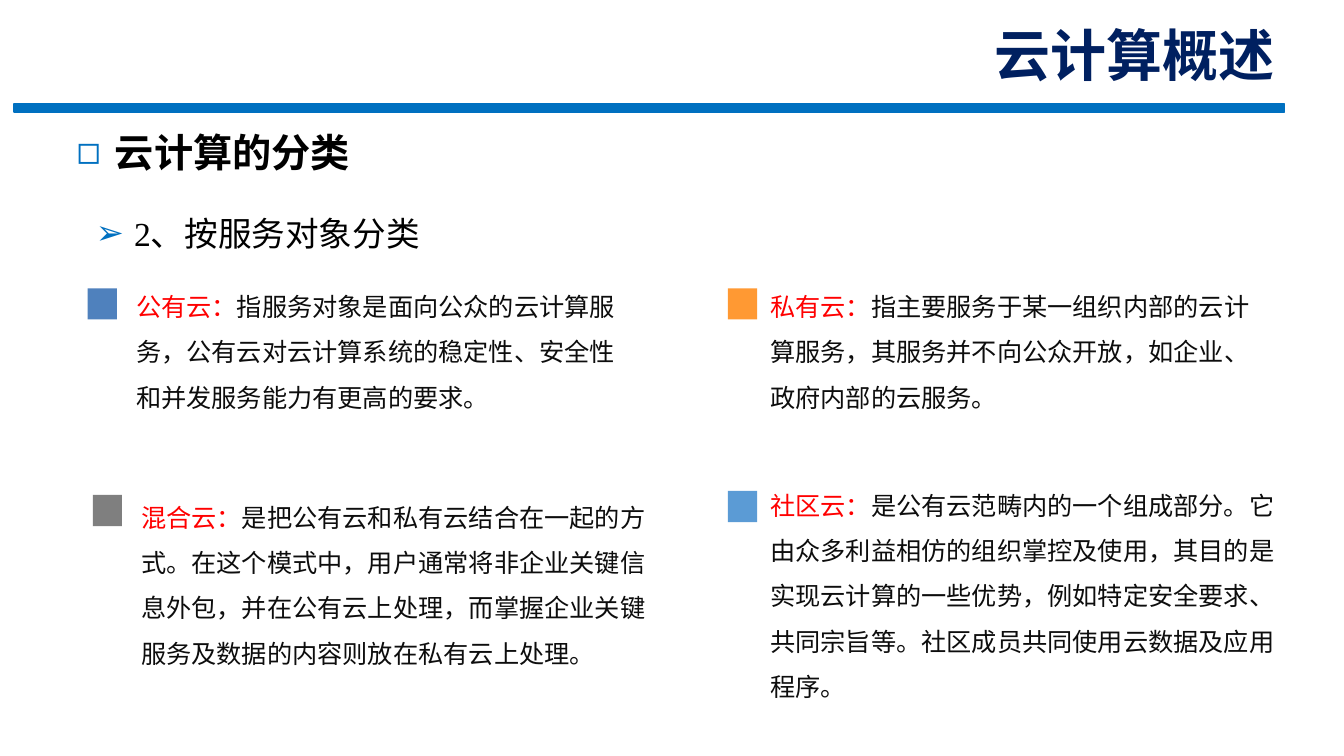
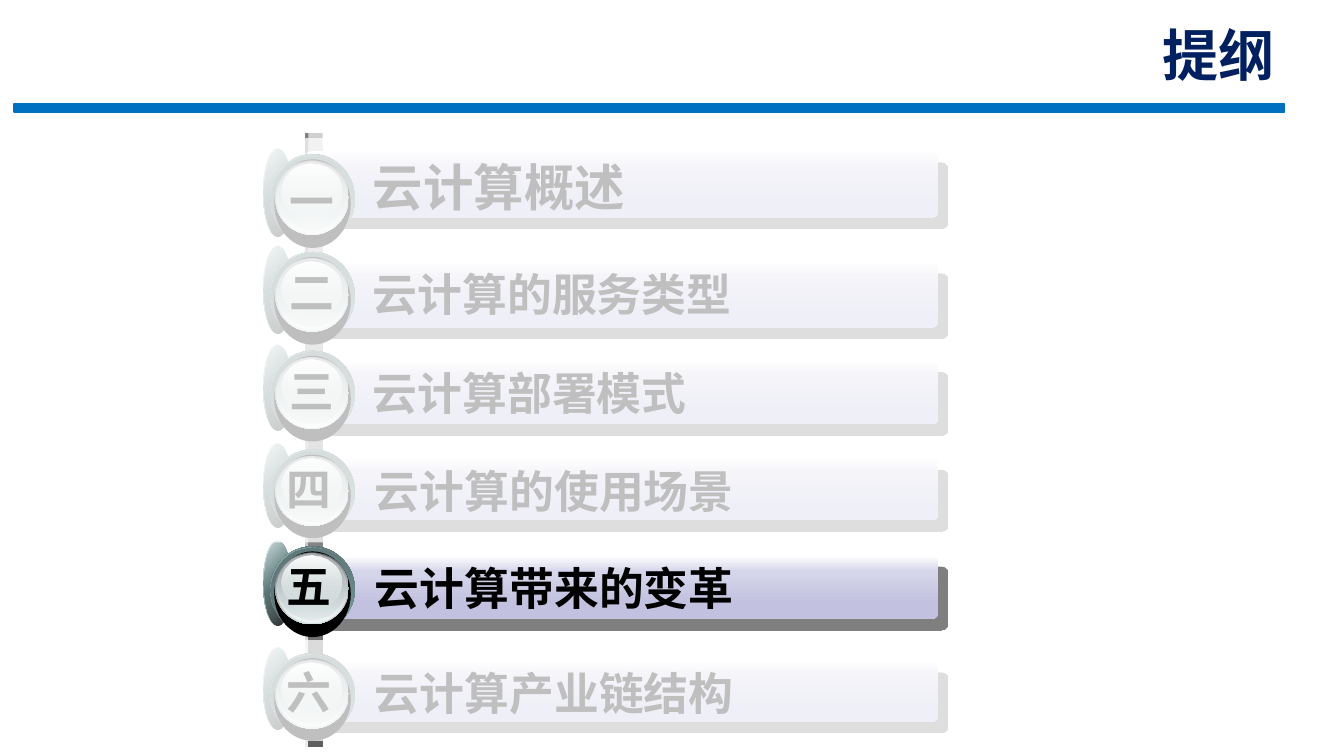
from lxml import etree
from pptx import Presentation
from pptx.dml.color import RGBColor
from pptx.enum.shapes import MSO_SHAPE
from pptx.enum.text import MSO_ANCHOR, MSO_AUTO_SIZE, PP_ALIGN
from pptx.oxml.ns import qn
from pptx.util import Inches, Pt

RECT, ROUND, OVAL = MSO_SHAPE.RECTANGLE, MSO_SHAPE.ROUNDED_RECTANGLE, MSO_SHAPE.OVAL
TOP, BOTTOM = MSO_ANCHOR.TOP, MSO_ANCHOR.BOTTOM
LEFT, RIGHT = PP_ALIGN.LEFT, PP_ALIGN.RIGHT
FIXED = MSO_AUTO_SIZE.NONE

# Shared style
BLUE, NAVY, RED, INK, BLACK, WHITE = (
    "0070C0", "002060", "FF0000", "0D0D0D", "000000", "FFFFFF")
CJK = "Noto Sans CJK SC"
TITLE = {"size": Pt(40), "name": "Lato", "bold": True}
HEAD = {"size": Pt(28), "name": CJK, "bold": True}
SUB = {"size": Pt(24), "name": "Times New Roman", "bold": False}

# Cloud types: term, text, font, box, square place, square colour
CLOUDS = [
    ("公有云：", "指服务对象是面向公众的云计算服务，公有云对云计算系统的稳定性、安全性和并发服务能力有更高的要求。",
     "Arial", (1.22, 2.67, 5.23, 1.66), (0.87, 2.86), "4F81BD"),
    ("私有云：", "指主要服务于某一组织内部的云计算服务，其服务并不向公众开放，如企业、政府内部的云服务。",
     "Arial", (7.51, 2.67, 5.12, 1.66), (7.22, 2.86), "FF9933"),
    ("混合云：", "是把公有云和私有云结合在一起的方式。在这个模式中，用户通常将非企业关键信息外包，"
     "并在公有云上处理，而掌握企业关键服务及数据的内容则放在私有云上处理。",
     CJK, (1.27, 4.76, 5.34, 1.99), (0.92, 4.91), "7F7F7F"),
    ("社区云：", "是公有云范畴内的一个组成部分。它由众多利益相仿的组织掌控及使用，其目的是实现云计算的一些优势，"
     "例如特定安全要求、共同宗旨等。社区成员共同使用云数据及应用程序。",
     CJK, (7.51, 4.64, 5.43, 2.48), (7.22, 4.87), "5B9BD5"),
]

# Outline rows: numeral, label, badge top and height, bar offset, numeral offset, size
ROWS = [
    ("一", "云计算概述", 1.47, 0.88, 0.03, 0.2, 36),
    ("二", "云计算的服务类型", 2.44, 0.87, 0.16, 0.14, 32),
    ("三", "云计算部署模式", 3.42, 0.85, 0.16, 0.14, 32),
    ("四", "云计算的使用场景", 4.4, 0.83, 0.15, 0.13, 32),
    ("五", "云计算带来的变革", 5.36, 0.85, 0.15, 0.13, 32),
    ("六", "云计算产业链结构", 6.42, 0.82, 0.14, 0.13, 32),
]
BAR = ([(0, WHITE), (25, "D6D6EB"), (75, "C2C2E0")], 90)

# Badge layers: left, offset, width, share of height, gradient (stops, angle) or colour
LAYERS = [
    (2.61, 0, 0.28, 1, ([(0, WHITE), (50, "83A6A7"), (100, WHITE)], 45)),
    (2.61, 0, 0.28, 1, ([(0, "83A6A7", 32), (100, BLACK, 90)], 45)),
    (2.68, 0.06, 0.84, 1, ([(0, "475A5A"), (50, "83A6A7"), (100, "475A5A")], 315)),
    (2.68, 0.07, 0.84, 1, ([(0, "53696A"), (100, "83A6A7", 0)], 45)),
    (2.72, 0.11, 0.76, 1, BLACK),
    (2.73, 0.12, 0.73, 0.84, ([(0, "636869"), (100, "D6E1E2")], 90)),
    (2.74, 0.12, 0.71, 0.82, ([(0, "D6E1E2", 0), (100, "F1F5F5")], 90)),
    (2.75, 0.13, 0.68, 0.77, ([(0, "AAB2B3"), (100, "D6E1E2", 48)], 90)),
    (2.79, 0.15, 0.6, 0.62, ([(0, WHITE), (100, "D6E1E2", 38)], 90)),
]


# Helpers
def color(code):
    return RGBColor.from_string(code)


def node(root, tag, **attrs):
    item = etree.SubElement(root, qn(tag))
    for key, value in attrs.items():
        item.set(key, str(value))
    return item


def tint(root, code, alpha=100):
    item = node(root, "a:srgbClr", val=code)
    if alpha < 100:
        node(item, "a:alpha", val=alpha * 1000)


def blend(shape, stops, angle):
    shape.fill.background()
    old = shape._element.spPr.find(qn("a:noFill"))
    grad = etree.Element(qn("a:gradFill"), rotWithShape="1")
    items = node(grad, "a:gsLst")
    for pos, *tone in stops:
        tint(node(items, "a:gs", pos=pos * 1000), *tone)
    node(grad, "a:lin", ang=angle * 60000, scaled=0)
    old.getparent().replace(old, grad)


def block(shapes, kind, box, fill, alpha=100):
    shape = shapes.add_shape(kind, *map(Inches, box))
    shape.shadow.inherit = False
    shape.line.fill.background()
    if isinstance(fill, tuple):
        blend(shape, *fill)
    else:
        shape.fill.solid()
        shape.fill.fore_color.rgb = color(fill)
        if alpha < 100:
            tone = shape._element.spPr.find(qn("a:solidFill"))[0]
            node(tone, "a:alpha", val=alpha * 1000)
    return shape


def cast(shape):
    effects = shape._element.spPr.find(qn("a:effectLst"))
    shade = node(effects, "a:outerShdw", blurRad=0, dist=Pt(10.6),
                 dir=49 * 60000, algn="ctr", rotWithShape=0)
    tint(shade, BLACK, 50)


def write(para, text, tone, style):
    run = para.add_run()
    run.text = text
    for key, value in style.items():
        setattr(run.font, key, value)
    run.font.color.rgb = color(tone)
    node(run._r.get_or_add_rPr(), "a:ea", typeface=CJK)


def frame(shape, anchor=TOP, wrap=True, pad=(0.1, 0.05)):
    area = shape.text_frame
    side, edge = map(Inches, pad)
    form = {"auto_size": FIXED, "vertical_anchor": anchor, "word_wrap": wrap,
            "margin_left": side, "margin_right": side,
            "margin_top": edge, "margin_bottom": edge}
    for key, value in form.items():
        setattr(area, key, value)
    return area.paragraphs[0]


def place(shape, box):
    for key, value in zip(("left", "top", "width", "height"), box):
        setattr(shape, key, Inches(value))


def label(shapes, box, text, tone, style, wrap=True):
    para = frame(shapes.add_textbox(*map(Inches, box)), wrap=wrap)
    write(para, text, tone, style)


def bullet(para, char, left):
    props = para._p.get_or_add_pPr()
    props.set("marL", str(Inches(left)))
    props.set("indent", str(Inches(-0.38)))
    tint(node(props, "a:buClr"), BLUE)
    node(props, "a:buChar", char=char)


def base(deck, layout, title):
    slide = deck.slides.add_slide(deck.slide_layouts[layout])
    band = block(slide.shapes, RECT, (0.14, 1.03, 12.6, 0.08), BLUE)
    band.line.color.rgb = color(BLUE)
    band.line.width = Pt(1)
    head = slide.shapes.title
    place(head, (6.41, 0.34, 6.33, 0.58))
    para = frame(head, BOTTOM)
    para.alignment = RIGHT
    write(para, title, NAVY, TITLE)
    return slide


# Slide parts
def heads(slide):
    body = slide.placeholders[1]
    place(body, (0.66, 1.22, 6.86, 1.35))
    first = frame(body)
    second = body.text_frame.add_paragraph()
    lines = [(first, "云计算的分类", HEAD, "◻", 0.38, 0),
             (second, "2、按服务对象分类", SUB, "➢", 0.57, 27)]
    for para, text, style, char, left, gap in lines:
        para.alignment = LEFT
        para.space_before = Pt(gap)
        bullet(para, char, left)
        write(para, text, BLACK, style)


def cloud(slide, term, text, font, box, spot, tone):
    para = frame(slide.shapes.add_textbox(*map(Inches, box)), pad=(0.13, 0.07))
    para.line_spacing = 1.5
    para.space_before = Pt(3.6)
    style = {"size": Pt(18), "name": font}
    write(para, term, RED, style)
    write(para, text, INK, style)
    block(slide.shapes, RECT, (*spot, 0.29, 0.31), tone)


def row(slide, late, num, text, top, high, drop, dip, size):
    shapes = slide.shapes.add_group_shape().shapes
    left = 2.92 if late else 3.02
    bar = block(shapes, ROUND, (left, top + drop, 9.31 - left, high - 0.22), BAR)
    bar.adjustments[0] = 0.11
    cast(bar)
    style = {"size": Pt(size), "name": CJK, "bold": True}
    label(shapes, (3.62 if late else 3.6, top + drop, 5.2, 0.64), text, BLACK, style)
    for x, down, wide, share, fill in LAYERS:
        block(shapes, OVAL, (x, top + down, wide, high * share), fill)
    style["size"] = Pt(32)
    label(shapes, (2.74 if late else 2.77, top + dip, 0.64, 0.63), num, BLACK, style, False)


def kinds(deck):
    slide = base(deck, 1, "云计算概述")
    heads(slide)
    for item in CLOUDS:
        cloud(slide, *item)


def outline(deck):
    slide = base(deck, 5, "提纲")
    # Pole behind the badges
    for x, wide, start, end in [(3.02, 0.05, "808080", "ECECEC"),
                                (3.06, 0.14, "CFCFCF", "5F5F5F")]:
        block(slide.shapes, RECT, (x, 1.32, wide, 6.09), ([(0, start), (100, end)], 90))
    for i, item in enumerate(ROWS):
        row(slide, i > 2, *item)
    # Veils over all rows but the current one
    for box in [(1.63, 1.37, 9.06, 4.01), (1.58, 6.35, 9.06, 1)]:
        block(slide.shapes, RECT, box, WHITE, 75)


def main():
    deck = Presentation()
    deck.slide_width, deck.slide_height = Inches(13.33), Inches(7.5)
    kinds(deck)
    outline(deck)
    deck.save("out.pptx")


if __name__ == "__main__":
    main()
